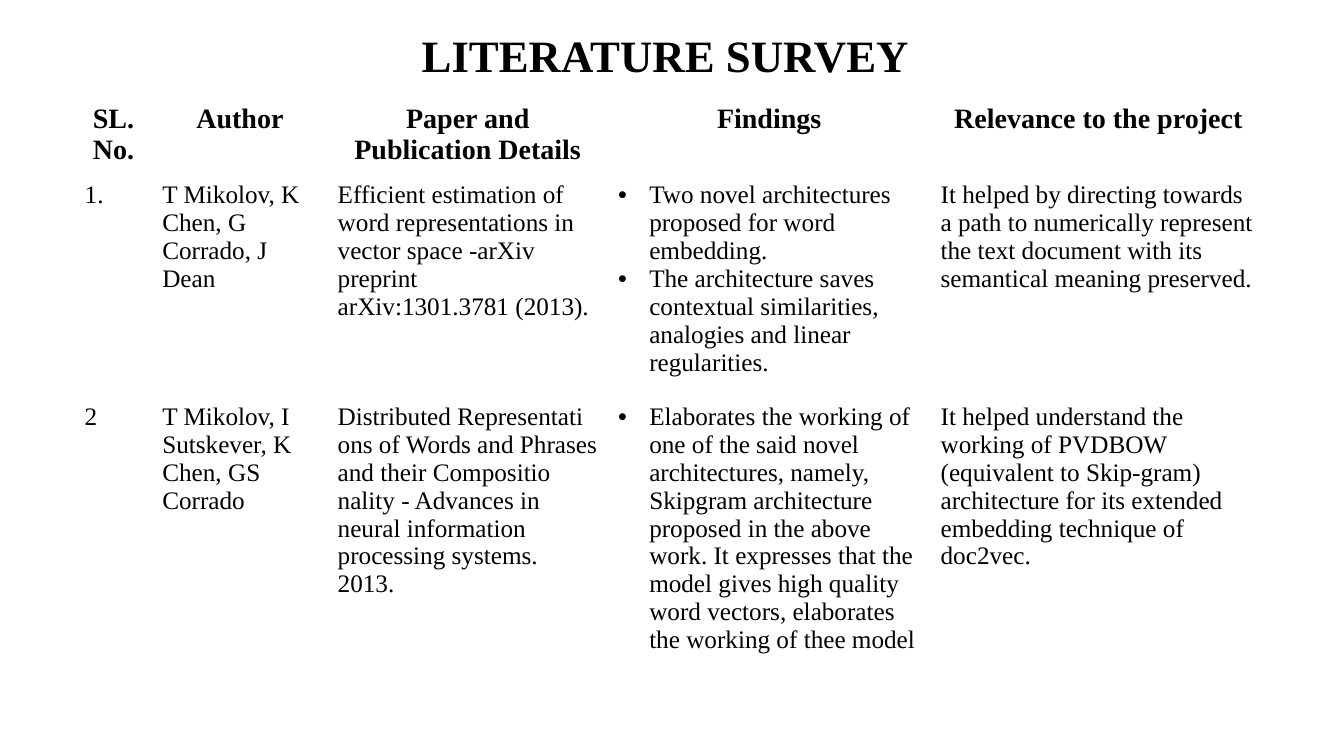
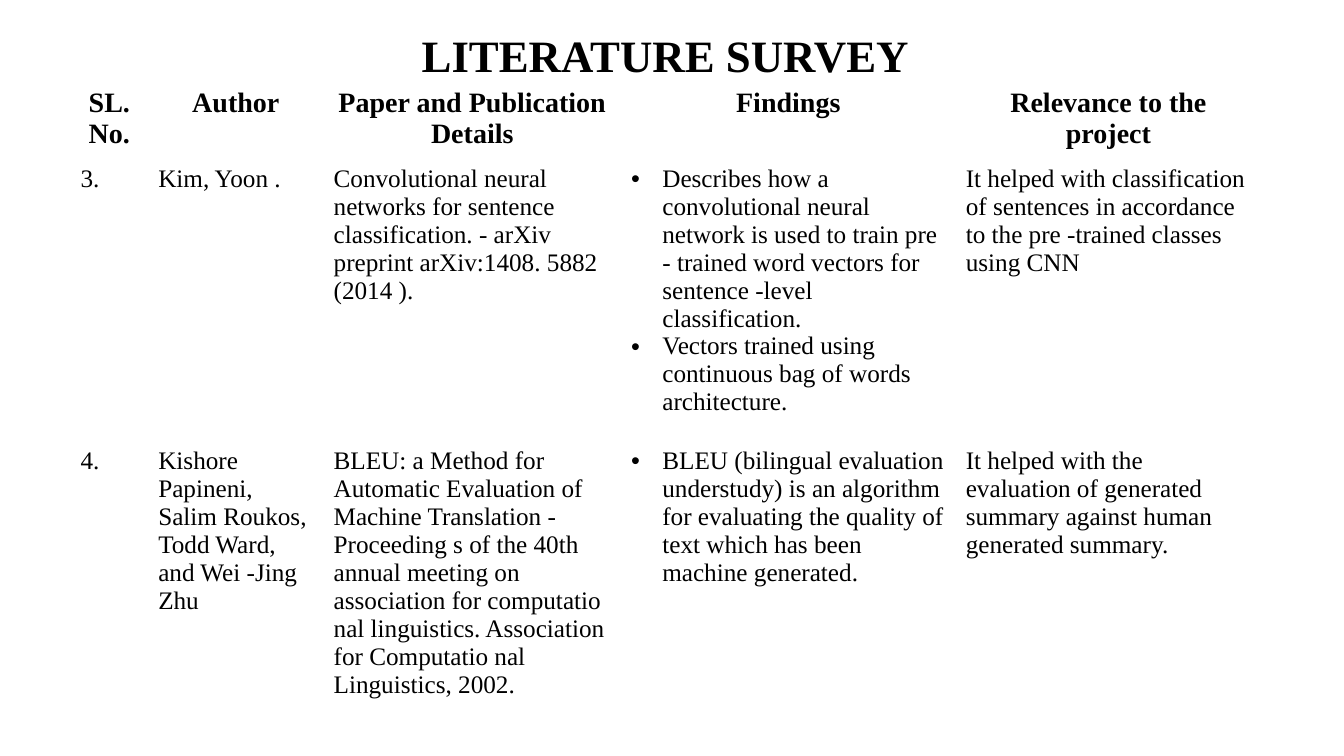
from dataclasses import dataclass

from lxml import etree
from pptx import Presentation
from pptx.dml.color import RGBColor
from pptx.enum import text as txt
from pptx.oxml import ns
from pptx.util import Inches, Pt

FONT = "Times New Roman"
INK = RGBColor(0x00, 0x00, 0x00)
PAPER_WHITE = RGBColor(0xFF, 0xFF, 0xFF)
TITLE_SIZE, HEADING_SIZE, BODY_SIZE = 32, 20, 18
HANGING = Inches(0.31)
HEADING_HEIGHT = 0.72
NO_BREAK_SPACE = chr(160)

TITLE = "LITERATURE SURVEY"
HEADINGS = (
    "SL. No.",
    "Author",
    "Paper and Publication Details",
    "Findings",
    "Relevance to the project",
)


@dataclass(frozen=True)
class Entry:
    height: float
    number: str
    authors: str
    paper: str
    findings: tuple[str, ...]
    relevance: str


@dataclass(frozen=True)
class Survey:
    left: float
    top: float
    widths: tuple[float, ...]
    entries: tuple[Entry, ...]


SURVEYS = (
    Survey(0.74, 0.98, (0.77, 1.74, 2.78, 3.2, 3.33), (
        Entry(
            2.05,
            "1.",
            NO_BREAK_SPACE.join(
                ("T Mikolov,", "K Chen,", "G Corrado,", "J Dean")),
            "Efficient estimation of word representations in vector space "
            f"-arXiv preprint arXiv:1301.3781{NO_BREAK_SPACE}(2013).",
            (
                "Two novel architectures proposed for word embedding.",
                "The architecture saves contextual similarities, analogies "
                "and linear regularities.",
            ),
            "It helped by directing towards a path to numerically represent "
            "the text document with its semantical meaning preserved.",
        ),
        Entry(
            2.6,
            "2",
            "T Mikolov, I Sutskever, K Chen, GS Corrado",
            "Distributed Representati ons of Words and Phrases and their "
            "Compositio nality - Advances in neural information processing "
            "systems. 2013.",
            (
                "Elaborates the working of one of the said novel "
                "architectures, namely, Skipgram architecture proposed in "
                "the above work. It expresses that the model gives high "
                "quality word vectors, elaborates the working of thee model",
            ),
            "It helped understand the working of PVDBOW (equivalent to "
            "Skip-gram) architecture for its extended embedding technique "
            "of doc2vec.",
        ),
    )),
    Survey(0.7, 0.82, (0.77, 1.74, 2.95, 3.32, 3.03), (
        Entry(
            2.6,
            "3.",
            "Kim, Yoon .",
            "Convolutional neural networks for sentence classification. - "
            "arXiv preprint arXiv:1408. 5882 (2014 ).",
            (
                "Describes how a convolutional neural network is used to "
                "train pre - trained word vectors for sentence -level "
                "classification.",
                "Vectors trained using continuous bag of words architecture.",
            ),
            "It helped with classification of sentences in accordance to "
            "the pre -trained classes using CNN",
        ),
        Entry(
            2.6,
            "4.",
            "Kishore Papineni, Salim Roukos, Todd Ward, and Wei -Jing Zhu",
            "BLEU: a Method for Automatic Evaluation of Machine Translation "
            "- Proceeding s of the 40th annual meeting on association for "
            "computatio nal linguistics. Association for Computatio nal "
            "Linguistics, 2002.",
            (
                "BLEU (bilingual evaluation understudy) is an algorithm for "
                "evaluating the quality of text which has been machine "
                "generated.",
            ),
            "It helped with the evaluation of generated summary against "
            "human generated summary.",
        ),
    )),
)


def write(paragraph, wording: str, size: int, bold: bool = False,
          centred: bool = False) -> None:
    paragraph.alignment = txt.PP_ALIGN.CENTER if centred else txt.PP_ALIGN.LEFT
    run = paragraph.add_run()
    run.text = wording
    run.font.name = FONT
    run.font.size = Pt(size)
    run.font.bold = bold
    run.font.color.rgb = INK


def add_bullet(paragraph) -> None:
    properties = paragraph._p.get_or_add_pPr()
    properties.set("marL", str(HANGING))
    properties.set("indent", str(-HANGING))
    colour = etree.SubElement(properties, ns.qn("a:buClr"))
    etree.SubElement(colour, ns.qn("a:srgbClr"), val=str(INK))
    etree.SubElement(properties, ns.qn("a:buFont"), typeface="Arial")
    etree.SubElement(properties, ns.qn("a:buChar"), char="•")


def add_title(slide) -> None:
    frame = slide.shapes.add_textbox(
        Inches(0.22), Inches(0.11), Inches(12.76), Inches(0.94)).text_frame
    frame.word_wrap = True
    frame.vertical_anchor = txt.MSO_ANCHOR.MIDDLE
    heading = frame.paragraphs[0]
    heading.line_spacing = 0.9
    write(heading, TITLE, TITLE_SIZE, bold=True, centred=True)


def fill_findings(cell, findings: tuple[str, ...]) -> None:
    frame = cell.text_frame
    for index, finding in enumerate(findings):
        paragraph = frame.add_paragraph() if index else frame.paragraphs[0]
        add_bullet(paragraph)
        write(paragraph, finding, BODY_SIZE)


def add_survey_table(slide, survey: Survey) -> None:
    heights = [HEADING_HEIGHT, *(entry.height for entry in survey.entries)]
    table = slide.shapes.add_table(
        len(heights), len(HEADINGS), Inches(survey.left), Inches(survey.top),
        Inches(sum(survey.widths)), Inches(sum(heights))).table
    table.first_row = table.horz_banding = False
    for column, width in zip(table.columns, survey.widths):
        column.width = Inches(width)
    for row, height in zip(table.rows, heights):
        row.height = Inches(height)
    for cell in table.iter_cells():
        cell.fill.background()

    for cell, heading in zip(table.rows[0].cells, HEADINGS):
        write(cell.text_frame.paragraphs[0], heading, HEADING_SIZE,
              bold=True, centred=True)
    for index, entry in enumerate(survey.entries, start=1):
        number, authors, paper, findings, relevance = table.rows[index].cells
        for cell, wording in ((number, entry.number),
                              (authors, entry.authors),
                              (paper, entry.paper),
                              (relevance, entry.relevance)):
            write(cell.text_frame.paragraphs[0], wording, BODY_SIZE)
        fill_findings(findings, entry.findings)


def main() -> None:
    deck = Presentation()
    deck.slide_width, deck.slide_height = Inches(13.33), Inches(7.5)
    background = deck.slide_master.background.fill
    background.solid()
    background.fore_color.rgb = PAPER_WHITE
    for survey in SURVEYS:
        slide = deck.slides.add_slide(deck.slide_layouts[6])
        add_title(slide)
        add_survey_table(slide, survey)
    deck.save("out.pptx")


if __name__ == "__main__":
    main()
